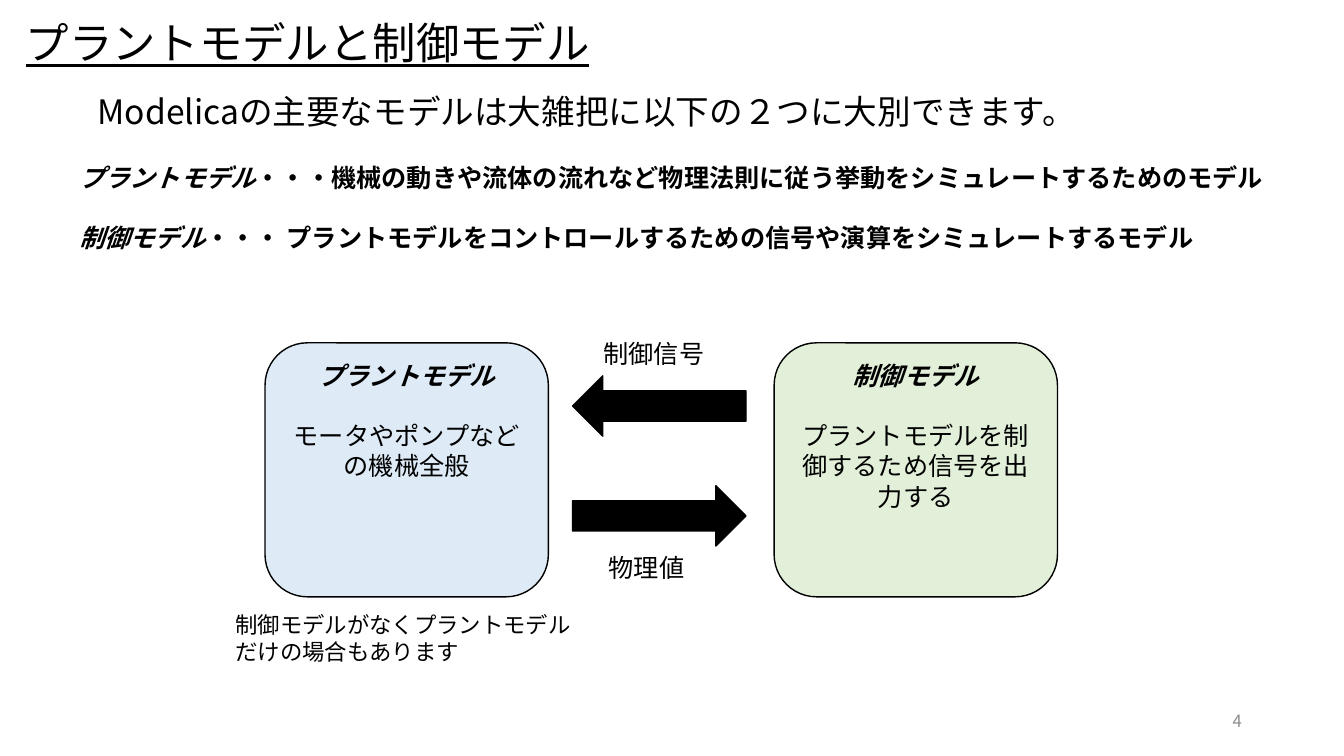
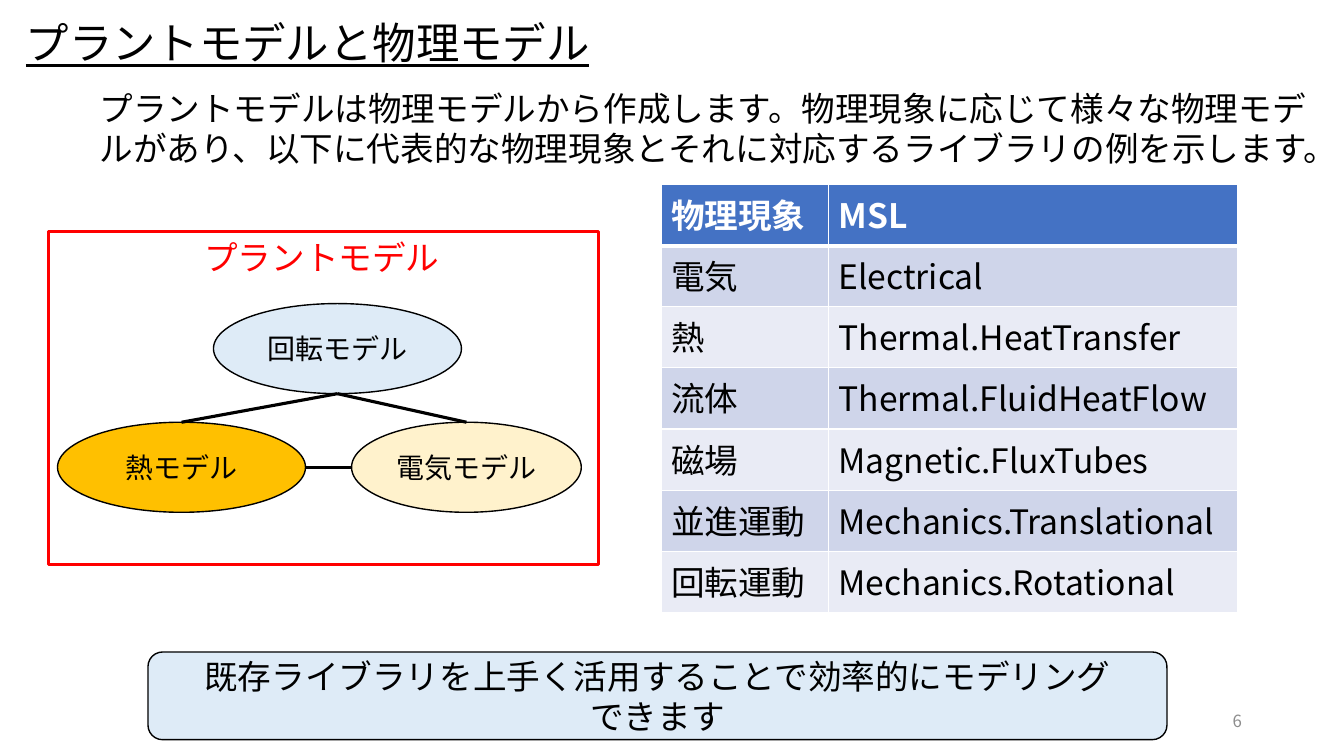
from dataclasses import dataclass
from typing import NamedTuple

from lxml import etree
from pptx import Presentation
from pptx.dml.color import RGBColor
from pptx.enum.shapes import MSO_CONNECTOR, MSO_SHAPE
from pptx.enum.text import MSO_ANCHOR, MSO_AUTO_SIZE, PP_ALIGN
from pptx.oxml.ns import qn
from pptx.util import Cm, Pt

ROUNDED, ELLIPSE = MSO_SHAPE.ROUNDED_RECTANGLE, MSO_SHAPE.OVAL
RECTANGLE, ARROW = MSO_SHAPE.RECTANGLE, MSO_SHAPE.RIGHT_ARROW
STRAIGHT = MSO_CONNECTOR.STRAIGHT
TOP, MIDDLE = MSO_ANCHOR.TOP, MSO_ANCHOR.MIDDLE
LEFT, CENTER, RIGHT = PP_ALIGN.LEFT, PP_ALIGN.CENTER, PP_ALIGN.RIGHT
GROW, FIXED = MSO_AUTO_SIZE.SHAPE_TO_FIT_TEXT, MSO_AUTO_SIZE.NONE


@dataclass(frozen=True)
class Theme:
    font: str = "Noto Sans CJK JP"
    black: str = "000000"
    white: str = "FFFFFF"
    grey: str = "8C8C8C"
    red: str = "FF0000"
    blue: str = "DEEBF7"
    green: str = "E2F0D9"
    amber: str = "FFC000"
    cream: str = "FFF2CC"
    header: str = "4472C4"
    bands: tuple[str, str] = ("CFD5EA", "E9EBF5")
    title_size: float = 31
    lead_size: float = 24
    model_size: float = 20
    body_size: float = 18
    note_size: float = 16
    number_size: float = 12
    thin: float = 1
    thick: float = 2.25
    header_rule: float = 3
    paragraph_gap: float = 21.5


THEME = Theme()


class Box(NamedTuple):
    """Left, top, width and height in centimetres."""
    left: float
    top: float
    width: float
    height: float

    def lengths(self) -> list:
        return [Cm(value) for value in self]


class Span(NamedTuple):
    text: str
    bold: bool = False
    italic: bool = False


class Style(NamedTuple):
    size: float
    color: str = THEME.black
    align: PP_ALIGN = LEFT
    anchor: MSO_ANCHOR = TOP
    gap: float = 0
    underline: bool = False


class ModelCard(NamedTuple):
    name: str
    role: str
    left: float
    fill: str


class Signal(NamedTuple):
    label: str
    label_box: Box
    arrow_top: float
    rotation: float


class PhysicalModel(NamedTuple):
    name: str
    box: Box
    fill: str


TITLE_BOX = Box(0.5, 0.25, 14.63, 1.6)
NUMBER_BOX = Box(23.93, 17.65, 7.62, 1.02)

CARDS = (
    ModelCard("プラントモデル", "モータやポンプなどの機械全般", 6.68, THEME.blue),
    ModelCard("制御モデル", "プラントモデルを制御するため信号を出力する",
              19.51, THEME.green),
)
SIGNALS = (
    Signal("制御信号", Box(14.96, 8.41, 3.38, 1.32), 9.47, 180),
    Signal("物理値", Box(15.09, 13.79, 2.67, 1.32), 12.24, 0),
)
DEFINITIONS = (
    (Span("プラントモデル", True, True),
     Span("・・・機械の動きや流体の流れなど物理法則に従う挙動をシミュレートするためのモデル", True)),
    (Span("制御モデル", True, True),
     Span("・・・ プラントモデルをコントロールするための信号や演算をシミュレートするモデル", True)),
)
ROTATION = PhysicalModel("回転モデル", Box(5.38, 7.65, 6.25, 2.27), THEME.blue)
HEAT = PhysicalModel("熱モデル", Box(1.45, 10.64, 6.25, 2.27), THEME.amber)
ELECTRIC = PhysicalModel("電気モデル", Box(8.86, 10.64, 5.79, 2.27), THEME.cream)
LIBRARIES = (
    ("物理現象", "MSL"),
    ("電気", "Electrical"),
    ("熱", "Thermal.HeatTransfer"),
    ("流体", "Thermal.FluidHeatFlow"),
    ("磁場", "Magnetic.FluxTubes"),
    ("並進運動", "Mechanics.Translational"),
    ("回転運動", "Mechanics.Rotational"),
)


# Text
def rgb(color: str) -> RGBColor:
    return RGBColor.from_string(color)


def format_run(run, span: Span, style: Style) -> None:
    font = run.font
    font.name, font.size = THEME.font, Pt(style.size)
    font.bold, font.italic = span.bold, span.italic
    font.underline = style.underline
    font.color.rgb = rgb(style.color)
    east_asian = etree.Element(qn("a:ea"), typeface=THEME.font)
    font._element.find(qn("a:latin")).addnext(east_asian)


def write(frame, paragraphs, style: Style) -> None:
    """Fill a frame; each paragraph is a sequence of spans."""
    frame.vertical_anchor = style.anchor
    for index, spans in enumerate(paragraphs):
        paragraph = frame.add_paragraph() if index else frame.paragraphs[0]
        paragraph.alignment = style.align
        if index:
            paragraph.space_before = Pt(style.gap)
        for span in spans:
            run = paragraph.add_run()
            run.text = span.text
            format_run(run, span, style)


def lines(*texts: str) -> list[tuple[Span]]:
    return [(Span(text),) for text in texts]


def add_text(slide, box: Box, paragraphs, style: Style,
             wrap: bool = True, fit=GROW):
    frame = slide.shapes.add_textbox(*box.lengths()).text_frame
    write(frame, paragraphs, style)
    frame.word_wrap, frame.auto_size = wrap, fit
    return frame


# Shapes and lines
def add_shape(slide, kind, box: Box, fill: str | None = None,
              line: str = THEME.black, weight: float = THEME.thin):
    shape = slide.shapes.add_shape(kind, *box.lengths())
    shape.shadow.inherit = False
    if fill:
        shape.fill.solid()
        shape.fill.fore_color.rgb = rgb(fill)
    else:
        shape.fill.background()
    shape.line.color.rgb = rgb(line)
    shape.line.width = Pt(weight)
    return shape


def add_link(slide, start: tuple[float, float], end: tuple[float, float]) -> None:
    points = [Cm(value) for value in (*start, *end)]
    link = slide.shapes.add_connector(STRAIGHT, *points)
    link.line.color.rgb = rgb(THEME.black)
    link.line.width = Pt(THEME.thick)
    etree.SubElement(link._element.spPr, qn("a:effectLst"))


# Table
def set_borders(cell, top: float, bottom: float) -> None:
    properties = cell._tc.get_or_add_tcPr()
    weights = {"lnL": THEME.thin, "lnR": THEME.thin, "lnT": top, "lnB": bottom}
    for index, (side, weight) in enumerate(weights.items()):
        border = etree.Element(qn(f"a:{side}"), w=str(Pt(weight)))
        paint = etree.SubElement(border, qn("a:solidFill"))
        etree.SubElement(paint, qn("a:srgbClr"), val=THEME.white)
        properties.insert(index, border)


def add_library_table(slide) -> None:
    widths, row_height = (4.22, 10.31), 1.54
    box = Box(16.66, 4.65, sum(widths), row_height * len(LIBRARIES))
    table = slide.shapes.add_table(
        len(LIBRARIES), len(widths), *box.lengths()).table
    for column, width in zip(table.columns, widths):
        column.width = Cm(width)
    for r, row in enumerate(LIBRARIES):
        table.rows[r].height = Cm(row_height)
        is_header = r == 0
        fill = THEME.header if is_header else THEME.bands[(r - 1) % 2]
        style = Style(THEME.lead_size, THEME.white if is_header else THEME.black)
        for c, text in enumerate(row):
            cell = table.cell(r, c)
            cell.fill.solid()
            cell.fill.fore_color.rgb = rgb(fill)
            write(cell.text_frame, [(Span(text, is_header),)], style)
            cell.vertical_anchor = TOP
            set_borders(cell, THEME.header_rule if r == 1 else THEME.thin,
                        THEME.header_rule if is_header else THEME.thin)


# Slides
def add_slide(deck, title: str, number: int, lead: str, lead_box: Box):
    slide = deck.slides.add_slide(deck.slide_layouts[6])
    heading = add_text(slide, TITLE_BOX, lines(title),
                       Style(THEME.title_size, anchor=MIDDLE, underline=True),
                       wrap=False)
    heading.margin_left = heading.margin_right = Cm(0.15)
    heading.margin_top = heading.margin_bottom = Cm(0.15)
    add_text(slide, NUMBER_BOX, lines(str(number)),
             Style(THEME.number_size, THEME.grey, RIGHT, MIDDLE), fit=FIXED)
    add_text(slide, lead_box, lines(lead), Style(THEME.lead_size))
    return slide


def build_control_slide(deck) -> None:
    slide = add_slide(deck, "プラントモデルと制御モデル", 4,
                      "Modelicaの主要なモデルは大雑把に以下の２つに大別できます。",
                      Box(2.21, 2.16, 29.34, 1.27))
    body = Style(THEME.body_size, gap=THEME.paragraph_gap)
    for card in CARDS:
        panel = add_shape(slide, ROUNDED, Box(card.left, 8.64, 7.14, 6.4), card.fill)
        write(panel.text_frame,
              [(Span(card.name, True, True),), (Span(card.role),)],
              body._replace(align=CENTER))
    for signal in SIGNALS:
        arrow = add_shape(slide, ARROW, Box(14.43, signal.arrow_top, 4.37, 1.52),
                          THEME.black)
        arrow.rotation = signal.rotation
        add_text(slide, signal.label_box, lines(signal.label), body, wrap=False)
    add_text(slide, Box(1.75, 3.96, 30.73, 2.57), DEFINITIONS, body)
    add_text(slide, Box(5.69, 15.27, 9.3, 1.63),
             lines("制御モデルがなくプラントモデルだけの場合もあります"),
             Style(THEME.note_size))


def build_physics_slide(deck) -> None:
    slide = add_slide(deck, "プラントモデルと物理モデル", 6,
                      "プラントモデルは物理モデルから作成します。物理現象に応じて様々な"
                      "物理モデルがあり、以下に代表的な物理現象とそれに対応する"
                      "ライブラリの例を示します。",
                      Box(2.26, 2.08, 31.6, 2.31))
    add_library_table(slide)

    # Plant model made of linked physical models
    for model in (ROTATION, HEAT, ELECTRIC):
        bubble = add_shape(slide, ELLIPSE, model.box, model.fill)
        write(bubble.text_frame, lines(model.name),
              Style(THEME.model_size, align=CENTER, anchor=MIDDLE))
    add_shape(slide, RECTANGLE, Box(1.22, 5.84, 13.87, 8.38),
              line=THEME.red, weight=THEME.thick)
    add_text(slide, Box(4.9, 5.84, 6.5, 1.27), lines("プラントモデル"),
             Style(THEME.lead_size, THEME.red), wrap=False)
    upper, left, right = ROTATION.box, HEAT.box, ELECTRIC.box
    hub = (upper.left + upper.width / 2, upper.top + upper.height)
    for lower in (left, right):
        add_link(slide, hub, (lower.left + lower.width / 2, lower.top))
    middle = left.top + left.height / 2
    add_link(slide, (left.left + left.width, middle), (right.left, middle))

    # Conclusion
    banner = add_shape(slide, ROUNDED, Box(3.73, 16.43, 25.68, 2.21), THEME.blue)
    write(banner.text_frame,
          lines("既存ライブラリを上手く活用することで効率的にモデリング", "できます"),
          Style(THEME.lead_size, align=CENTER, anchor=MIDDLE))


def main() -> None:
    deck = Presentation()
    deck.slide_width, deck.slide_height = Cm(33.87), Cm(19.05)
    build_control_slide(deck)
    build_physics_slide(deck)
    deck.save("out.pptx")


if __name__ == "__main__":
    main()
